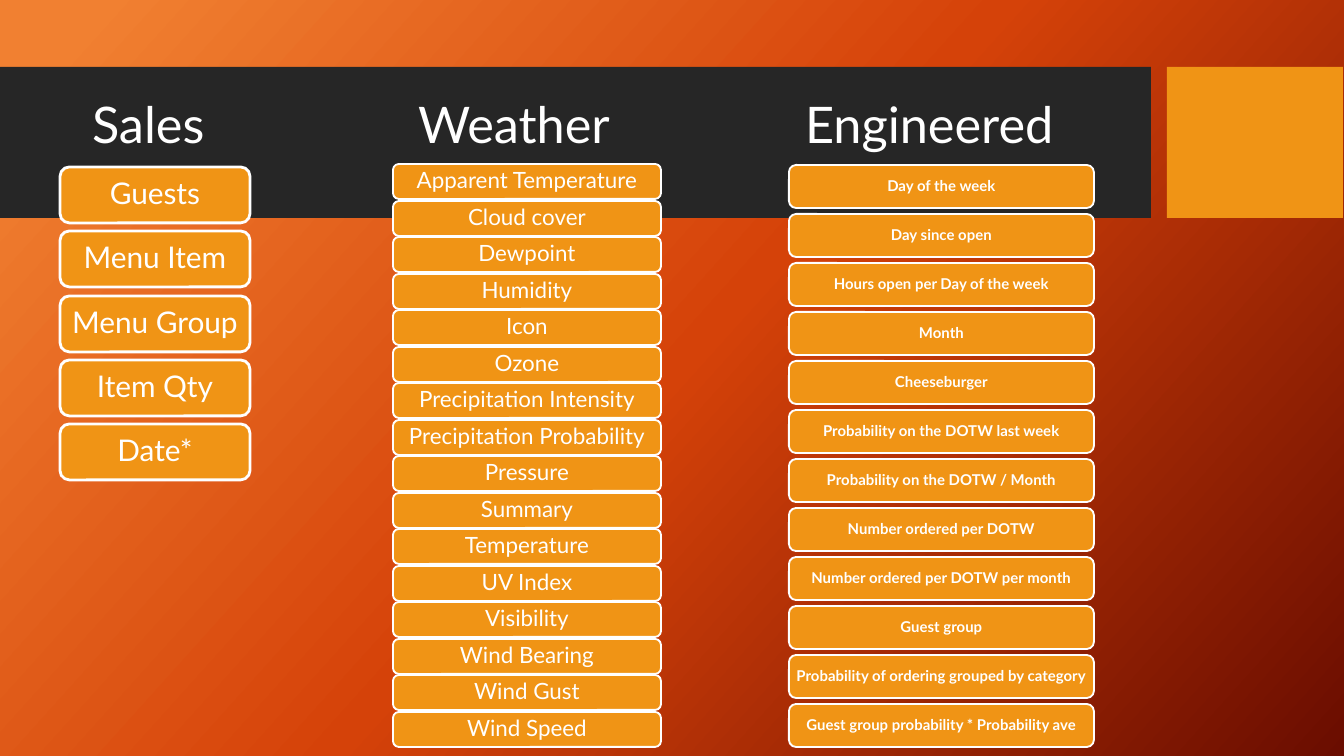
"""Build a slide listing the data features in three columns."""
import lxml.etree
import pptx
import pptx.dml.color
import pptx.enum.shapes
import pptx.enum.text
import pptx.oxml.ns
import pptx.util

HUES = {"dark": "262626", "gold": "F09415", "white": "FFFFFF"}
STOPS = [(5, "F18031"), (50, "D54209"), (100, "6A0D00")]
ANGLE = 42
FONT = "Lato"
BANDS = [((0, 67, 1151, 151), "dark"), ((1167, 67, 176, 151), "gold")]
COLS = [
    {
        "head": "Sales", "spot": (79, 87, 163, 109),
        "left": 60, "wide": 190, "high": 56, "first": 167, "last": 424,
        "size": 16, "bold": False, "line": 1.5,
        "items": ["Guests", "Menu Item", "Menu Group", "Item Qty", "Date*"],
    },
    {
        "head": "Weather", "spot": (405, 87, 257, 109),
        "left": 393, "wide": 268, "high": 35, "first": 164, "last": 712,
        "size": 12, "bold": False, "line": 1,
        "items": [
            "Apparent Temperature", "Cloud cover", "Dewpoint", "Humidity",
            "Icon", "Ozone", "Precipitation Intensity",
            "Precipitation Probability", "Pressure", "Summary",
            "Temperature", "UV Index", "Visibility", "Wind Bearing",
            "Wind Gust", "Wind Speed",
        ],
    },
    {
        "head": "Engineered", "spot": (792, 87, 370, 109),
        "left": 789, "wide": 305, "high": 43, "first": 165, "last": 704,
        "size": 8, "bold": True, "line": 1,
        "items": [
            "Day of the week", "Day since open",
            "Hours open per Day of the week", "Month", "Cheeseburger",
            "Probability on the DOTW last week",
            "Probability on the DOTW / Month", "Number ordered per DOTW",
            "Number ordered per DOTW per month", "Guest group",
            "Probability of ordering grouped by category",
            "Guest group probability * Probability ave",
        ],
    },
]


def px(num):
    return pptx.util.Emu(round(num * 914400 / 134.4))


def hue(name):
    return pptx.dml.color.RGBColor.from_string(HUES[name])


def paint(slide):
    slide.background.fill.gradient()
    qn = pptx.oxml.ns.qn
    grad = slide.element.find(".//" + qn("a:gradFill"))
    stops = grad.find(qn("a:gsLst"))
    for old in list(stops):
        stops.remove(old)
    for pos, color in STOPS:
        stop = lxml.etree.SubElement(stops, qn("a:gs"), pos=str(pos * 1000))
        lxml.etree.SubElement(stop, qn("a:srgbClr"), val=color)
    grad.find(qn("a:lin")).set("ang", str(ANGLE * 60000))


def block(slide, kind, spot, fill, line=None):
    shape = slide.shapes.add_shape(kind, *map(px, spot))
    shape.shadow.inherit = False
    shape.fill.solid()
    shape.fill.fore_color.rgb = hue(fill)
    if line:
        shape.line.color.rgb = hue("white")
        shape.line.width = pptx.util.Pt(line)
    else:
        shape.line.fill.background()
    return shape


def write(shape, text, size, pad, align, anchor, bold=False, wrap=True):
    frame = shape.text_frame
    frame.word_wrap = wrap
    frame.vertical_anchor = anchor
    frame.margin_left = frame.margin_right = px(pad)
    frame.margin_top = frame.margin_bottom = px(pad)
    para = frame.paragraphs[0]
    para.alignment = align
    para.line_spacing = 0.9
    run = para.add_run()
    run.text = text
    run.font.name = FONT
    run.font.size = pptx.util.Pt(size)
    run.font.bold = bold
    run.font.color.rgb = hue("white")


def main():
    kinds = pptx.enum.shapes.MSO_SHAPE
    align = pptx.enum.text.PP_ALIGN
    anchor = pptx.enum.text.MSO_ANCHOR
    deck = pptx.Presentation()
    deck.slide_width, deck.slide_height = px(1344), px(756)
    slide = deck.slides.add_slide(deck.slide_layouts[6])
    paint(slide)
    for spot, fill in BANDS:
        block(slide, kinds.RECTANGLE, spot, fill)
    for col in COLS:
        step = (col["last"] - col["first"]) / (len(col["items"]) - 1)
        for row, text in enumerate(col["items"]):
            top = round(col["first"] + row * step)
            spot = (col["left"], top, col["wide"], col["high"])
            card = block(slide, kinds.ROUNDED_RECTANGLE, spot, "gold", col["line"])
            write(card, text, col["size"], 4, align.CENTER, anchor.MIDDLE,
                  col["bold"], wrap=False)
        head = slide.shapes.add_textbox(*map(px, col["spot"]))
        write(head, col["head"], 27, 13, align.LEFT, anchor.TOP)
    deck.save("out.pptx")


if __name__ == "__main__":
    main()
